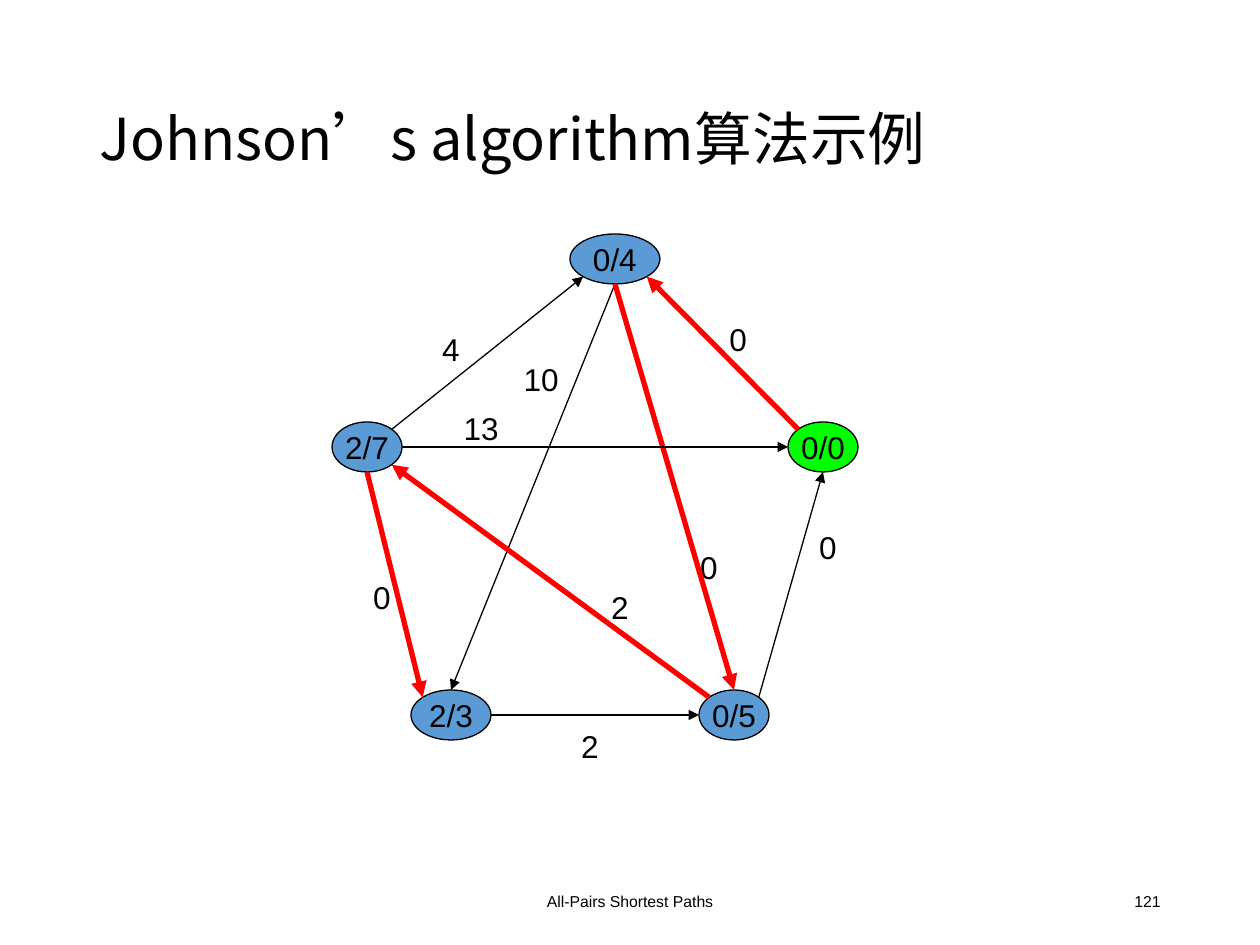
import math
from dataclasses import dataclass

import pptx
import pptx.dml.color
import pptx.enum.shapes
import pptx.enum.text
import pptx.oxml
import pptx.oxml.ns
import pptx.util

ALIGN = pptx.enum.text.PP_ALIGN
ANCHOR = pptx.enum.text.MSO_ANCHOR
SHAPE = pptx.enum.shapes.MSO_SHAPE
STRAIGHT = pptx.enum.shapes.MSO_CONNECTOR.STRAIGHT
EMU_PER_PX = 914400 / 126


@dataclass(frozen=True)
class Theme:
    """Colours, fonts and type sizes."""
    ink: str = "000000"
    node: str = "5B9BD5"
    source: str = "00FF00"
    tree: str = "FF0000"
    body_font: str = "Arial"
    title_font: str = "Noto Sans CJK SC"
    title_size: int = 33
    graph_size: int = 18
    footer_size: int = 9
    thin: float = 0.75
    thick: float = 3


THEME = Theme()
NODE_H = 50
LABEL_W, LABEL_H = 118, 50

# name: text, centre x, centre y, width, fill
NODES = {
    "top": ("0/4", 615, 259, 90, THEME.node),
    "left": ("2/7", 367, 447, 70, THEME.node),
    "right": ("0/0", 823, 447, 70, THEME.source),
    "low_left": ("2/3", 451, 715, 80, THEME.node),
    "low_right": ("0/5", 734, 715, 70, THEME.node),
}
WEIGHTS = [
    ("4", 451, 349), ("10", 541, 379), ("0", 738, 339),
    ("2", 620, 607), ("13", 481, 428), ("0", 382, 597),
    ("2", 590, 746), ("0", 709, 567), ("0", 828, 547),
]
ANGLES = {"e": 0, "se": 45, "s": 90, "sw": 135,
          "w": 180, "nw": 225, "n": 270, "ne": 315}
# start node, side, end node, side, on the shortest-path tree
EDGES = [
    ("left", "ne", "top", "sw", False),
    ("right", "nw", "top", "se", True),
    ("left", "s", "low_left", "nw", True),
    ("low_left", "e", "low_right", "w", False),
    ("low_right", "ne", "right", "s", False),
    ("top", "s", "low_left", "n", False),
    ("top", "s", "low_right", "n", True),
    ("low_right", "nw", "left", "se", True),
    ("left", "e", "right", "w", False),
]


def px(n):
    """Turn pixels into EMU."""
    return pptx.util.Emu(round(n * EMU_PER_PX))


def rgb(value):
    """Turn a hex string into a colour."""
    return pptx.dml.color.RGBColor.from_string(value)


def write(s, text, *, size, font=THEME.body_font, color=THEME.ink,
          align=ALIGN.CENTER, anchor=ANCHOR.MIDDLE, wrap=True, spacing=None):
    """Put one formatted paragraph into a shape."""
    tf = s.text_frame
    tf.word_wrap = wrap
    tf.vertical_anchor = anchor
    p = tf.paragraphs[0]
    p.alignment = align
    p.line_spacing = spacing
    r = p.add_run()
    r.text = text
    r.font.size = pptx.util.Pt(size)
    r.font.name = font
    r.font.color.rgb = rgb(color)
    ea = pptx.oxml.parse_xml(
        f'<a:ea {pptx.oxml.ns.nsdecls("a")} typeface="{font}"/>')
    r.font._element.find(pptx.oxml.ns.qn("a:latin")).addnext(ea)


def add_text(slide, text, x, y, w, h, **fmt):
    """Add a text box."""
    write(slide.shapes.add_textbox(px(x), px(y), px(w), px(h)), text, **fmt)


def add_node(slide, text, cx, cy, w, fill):
    """Add a graph node centred on a point."""
    s = slide.shapes.add_shape(SHAPE.OVAL, px(cx - w / 2), px(cy - NODE_H / 2),
                               px(w), px(NODE_H))
    s.shadow.inherit = False
    s.fill.solid()
    s.fill.fore_color.rgb = rgb(fill)
    s.line.color.rgb = rgb(THEME.ink)
    s.line.width = pptx.util.Pt(THEME.thin)
    write(s, text, size=THEME.graph_size, wrap=False)


def rim(name, side):
    """Return the point on a node's outline at a compass side."""
    _, cx, cy, w, _ = NODES[name]
    a = math.radians(ANGLES[side])
    return px(cx + w / 2 * math.cos(a)), px(cy + NODE_H / 2 * math.sin(a))


def add_edge(slide, start, start_side, end, end_side, in_tree):
    """Add an arrow between two nodes."""
    s = slide.shapes.add_connector(STRAIGHT, *rim(start, start_side),
                                   *rim(end, end_side))
    s.line.color.rgb = rgb(THEME.tree if in_tree else THEME.ink)
    s.line.width = pptx.util.Pt(THEME.thick if in_tree else THEME.thin)
    ns = pptx.oxml.ns.nsdecls("a")
    s.line._get_or_add_ln().append(
        pptx.oxml.parse_xml(f'<a:tailEnd {ns} type="triangle"/>'))
    s._element.spPr.append(pptx.oxml.parse_xml(f'<a:effectLst {ns}/>'))


def main():
    """Build the slide and save it."""
    prs = pptx.Presentation()
    prs.slide_width, prs.slide_height = px(1260), px(945)
    slide = prs.slides.add_slide(prs.slide_layouts[6])
    add_text(slide, "All-Pairs Shortest Paths", 417, 876, 426, 50,
             size=THEME.footer_size)
    add_text(slide, "121", 890, 876, 283, 50, size=THEME.footer_size,
             align=ALIGN.RIGHT)
    add_text(slide, "Johnson’s algorithm算法示例", 87, 50, 1086, 183,
             size=THEME.title_size, font=THEME.title_font,
             align=ALIGN.LEFT, spacing=0.9)
    for node in NODES.values():
        add_node(slide, *node)
    for text, cx, cy in WEIGHTS:
        add_text(slide, text, cx - LABEL_W / 2, cy - LABEL_H / 2,
                 LABEL_W, LABEL_H, size=THEME.graph_size, anchor=ANCHOR.TOP)
    for edge in EDGES:
        add_edge(slide, *edge)
    prs.save("out.pptx")


if __name__ == "__main__":
    main()
